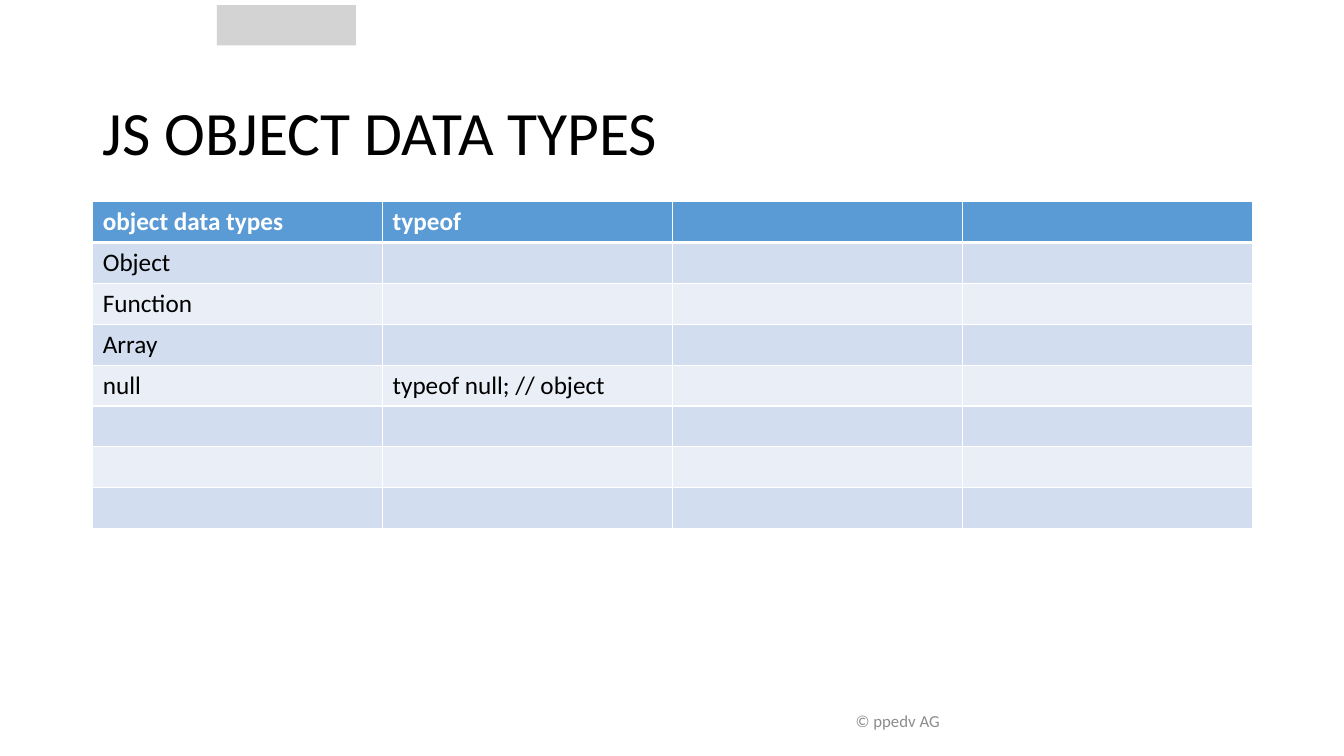
from dataclasses import dataclass

from pptx import Presentation
from pptx.dml.color import RGBColor
from pptx.enum.shapes import MSO_SHAPE
from pptx.enum.text import MSO_ANCHOR, MSO_AUTO_SIZE, PP_ALIGN
from pptx.oxml import parse_xml
from pptx.oxml.ns import nsdecls
from pptx.util import Inches, Pt


@dataclass(frozen=True)
class Theme:
    font: str = "Calibri"
    ink: str = "000000"
    white: str = "FFFFFF"
    header: str = "5B9BD5"
    bands: tuple = ("D2DEEF", "EAEFF7")
    block: str = "D4D3D3"
    muted: str = "8C8C8C"
    title_size: int = 44
    table_size: int = 18
    footer_size: int = 12
    rule: int = 1
    header_rule: int = 3


THEME = Theme()
MARGIN, CONTENT_WIDTH = 0.92, 11.5
COLUMN_COUNT, ROW_HEIGHT = 4, 0.405
TABLE_ROWS = [
    ["object data types", "typeof"],
    ["Object"],
    ["Function"],
    ["Array"],
    ["null", "typeof null; // object"],
    [],
    [],
    [],
]


def inches(*lengths):
    return [Inches(length) for length in lengths]


def place(shape, left, top, width, height):
    shape.left, shape.top, shape.width, shape.height = inches(left, top, width, height)


def write(frame, text, *, size, color=THEME.ink, bold=False, align=PP_ALIGN.LEFT,
          line_spacing=None):
    para = frame.paragraphs[0]
    para.alignment = align
    para.line_spacing = line_spacing
    span = para.add_run()
    span.text = text
    font = span.font
    font.name, font.size, font.bold = THEME.font, Pt(size), bold
    font.color.rgb = RGBColor.from_string(color)


def fill_solid(target, color):
    target.fill.solid()
    target.fill.fore_color.rgb = RGBColor.from_string(color)


def add_block(page):
    block = page.shapes.add_shape(MSO_SHAPE.RECTANGLE, *inches(2.15, 0.05, 1.38, 0.4))
    fill_solid(block, THEME.block)
    block.line.fill.background()
    block.shadow.inherit = False


def set_title(page, text):
    title = page.shapes.title
    place(title, MARGIN, 0.5, CONTENT_WIDTH, 1.35)
    frame = title.text_frame
    frame.auto_size = MSO_AUTO_SIZE.NONE
    frame.vertical_anchor = MSO_ANCHOR.MIDDLE
    frame.margin_top = Inches(0.39)
    write(frame, text, size=THEME.title_size, line_spacing=0.9)


def set_borders(cell, top, bottom):
    """Draw white cell borders; top and bottom are widths in points."""
    widths = {"L": THEME.rule, "R": THEME.rule, "T": top, "B": bottom}
    properties = cell._tc.get_or_add_tcPr()
    for index, (side, width) in enumerate(widths.items()):
        properties.insert(index, parse_xml(
            f'<a:ln{side} {nsdecls("a")} w="{Pt(width)}"><a:solidFill>'
            f'<a:srgbClr val="{THEME.white}"/></a:solidFill></a:ln{side}>'))


def add_type_table(page, rows):
    frame = page.shapes.add_table(
        len(rows), COLUMN_COUNT,
        *inches(MARGIN, 2, CONTENT_WIDTH, ROW_HEIGHT * len(rows)))
    for row_index, texts in enumerate(rows):
        is_header = row_index == 0
        fill = THEME.header if is_header else THEME.bands[(row_index - 1) % 2]
        top = THEME.header_rule if row_index == 1 else THEME.rule
        bottom = THEME.header_rule if is_header else THEME.rule
        for column in range(COLUMN_COUNT):
            cell = frame.table.cell(row_index, column)
            fill_solid(cell, fill)
            set_borders(cell, top, bottom)
            if column < len(texts):
                write(cell.text_frame, texts[column], size=THEME.table_size,
                      color=THEME.white if is_header else THEME.ink, bold=is_header)


def add_footer(page, text):
    box = page.shapes.add_textbox(*inches(MARGIN, 6.95, 8.5, 0.4))
    frame = box.text_frame
    frame.word_wrap = True
    frame.vertical_anchor = MSO_ANCHOR.MIDDLE
    write(frame, text, size=THEME.footer_size, color=THEME.muted, align=PP_ALIGN.RIGHT)


def main():
    deck = Presentation()
    deck.slide_width, deck.slide_height = inches(13.33, 7.5)
    page = deck.slides.add_slide(deck.slide_layouts.get_by_name("Title Only"))
    add_block(page)
    set_title(page, "JS OBJECT DATA TYPES")
    add_type_table(page, TABLE_ROWS)
    add_footer(page, "© ppedv AG")
    deck.save("out.pptx")


if __name__ == "__main__":
    main()
